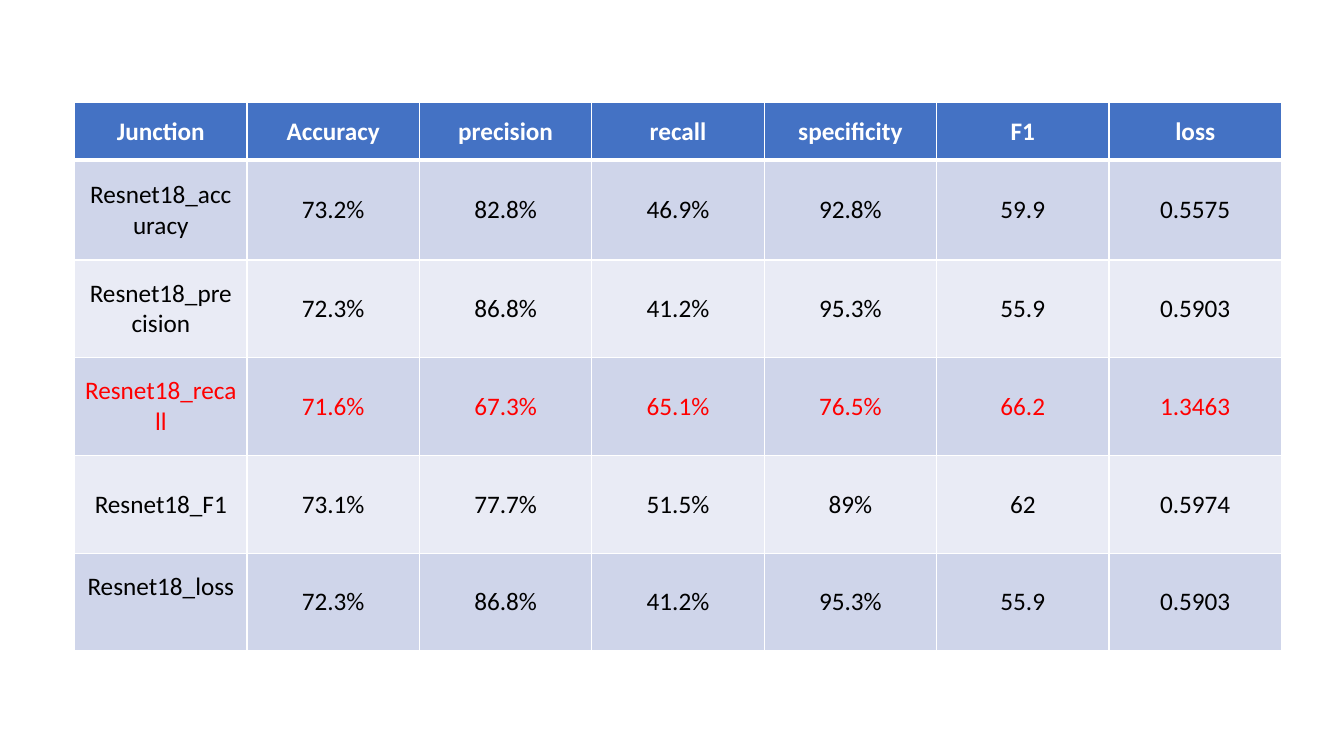
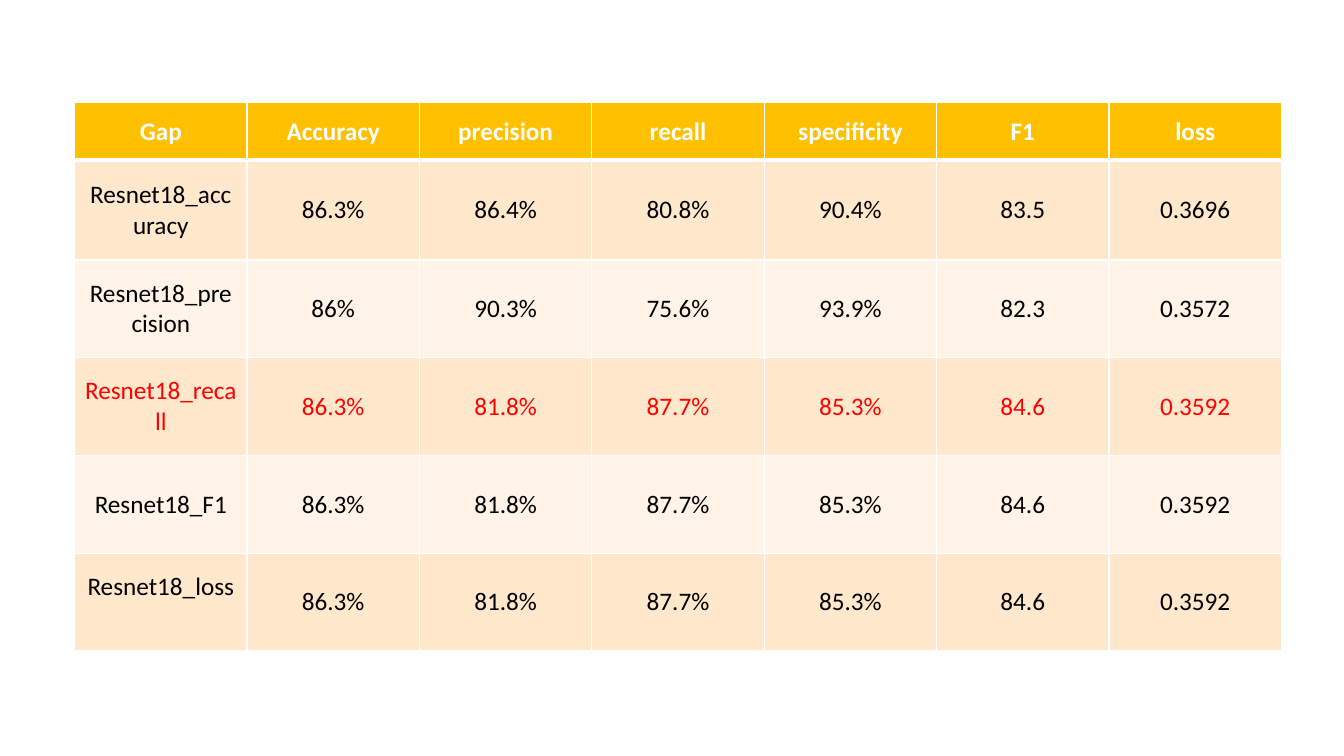
from dataclasses import dataclass

from lxml import etree
from pptx import Presentation
from pptx.dml.color import RGBColor
from pptx.enum import text
from pptx.oxml import ns
from pptx.util import Inches, Pt

METRICS = ["Accuracy", "precision", "recall", "specificity", "F1", "loss"]
MODELS = ["Resnet18_accuracy", "Resnet18_precision", "Resnet18_recall", "Resnet18_F1", "Resnet18_loss"]
HIGHLIGHTED_MODEL = "Resnet18_recall"
RAISED_MODEL = "Resnet18_loss"

RESULTS = [
    {
        "task": "Junction",
        "header": "4472C4",
        "bands": ("CFD5EA", "E9EBF5"),
        "scores": [
            ("73.2%", "82.8%", "46.9%", "92.8%", "59.9", "0.5575"),
            ("72.3%", "86.8%", "41.2%", "95.3%", "55.9", "0.5903"),
            ("71.6%", "67.3%", "65.1%", "76.5%", "66.2", "1.3463"),
            ("73.1%", "77.7%", "51.5%", "89%", "62", "0.5974"),
            ("72.3%", "86.8%", "41.2%", "95.3%", "55.9", "0.5903"),
        ],
    },
    {
        "task": "Gap",
        "header": "FFC000",
        "bands": ("FFE8CC", "FFF4E7"),
        "scores": [
            ("86.3%", "86.4%", "80.8%", "90.4%", "83.5", "0.3696"),
            ("86%", "90.3%", "75.6%", "93.9%", "82.3", "0.3572"),
            ("86.3%", "81.8%", "87.7%", "85.3%", "84.6", "0.3592"),
            ("86.3%", "81.8%", "87.7%", "85.3%", "84.6", "0.3592"),
            ("86.3%", "81.8%", "87.7%", "85.3%", "84.6", "0.3592"),
        ],
    },
]


@dataclass(frozen=True)
class Theme:
    font: str = "Calibri"
    size: int = 18
    header_text: str = "FFFFFF"
    body_text: str = "000000"
    highlight: str = "FF0000"
    rule: str = "FFFFFF"
    thin: int = 1
    thick: int = 3


THEME = Theme()
LEFT, TOP, WIDTH = Inches(0.74), Inches(1.02), Inches(11.97)
ROW_HEIGHTS = [Inches(h) for h in (0.57, 0.99, 0.97, 0.97, 0.97, 0.97)]
RAISED_MARGIN = Inches(0.35)


def add_borders(cell, top, bottom):
    props = cell._tc.get_or_add_tcPr()
    widths = {"lnL": THEME.thin, "lnR": THEME.thin, "lnT": top, "lnB": bottom}
    for side, width in widths.items():
        line = etree.SubElement(props, ns.qn(f"a:{side}"), w=str(Pt(width)))
        fill = etree.SubElement(line, ns.qn("a:solidFill"))
        etree.SubElement(fill, ns.qn("a:srgbClr"), val=THEME.rule)


def fill_cell(cell, wording, fill, color, bold):
    cell.fill.solid()
    cell.fill.fore_color.rgb = RGBColor.from_string(fill)
    cell.vertical_anchor = text.MSO_ANCHOR.MIDDLE
    cell.text_frame.text = wording
    paragraph = cell.text_frame.paragraphs[0]
    paragraph.alignment = text.PP_ALIGN.CENTER
    font = paragraph.runs[0].font
    font.name, font.size, font.bold = THEME.font, Pt(THEME.size), bold
    font.color.rgb = RGBColor.from_string(color)


def add_results(slide, result):
    rows = [(result["task"], *METRICS)]
    rows += [(model, *scores) for model, scores in zip(MODELS, result["scores"])]
    table = slide.shapes.add_table(
        len(rows), len(rows[0]), LEFT, TOP, WIDTH, sum(ROW_HEIGHTS)
    ).table
    for column in table.columns:
        column.width = WIDTH // len(rows[0])
    for r, row in enumerate(rows):
        table.rows[r].height = ROW_HEIGHTS[r]
        is_header = r == 0
        fill = result["header"] if is_header else result["bands"][(r - 1) % 2]
        color = THEME.header_text if is_header else THEME.body_text
        if row[0] == HIGHLIGHTED_MODEL:
            color = THEME.highlight
        top = THEME.thick if r == 1 else THEME.thin
        bottom = THEME.thick if is_header else THEME.thin
        for c, wording in enumerate(row):
            cell = table.cell(r, c)
            add_borders(cell, top, bottom)
            fill_cell(cell, wording, fill, color, is_header)
            if wording == RAISED_MODEL:
                cell.margin_bottom = RAISED_MARGIN


def main():
    deck = Presentation()
    deck.slide_width, deck.slide_height = Inches(13.33), Inches(7.5)
    for result in RESULTS:
        add_results(deck.slides.add_slide(deck.slide_layouts[6]), result)
    deck.save("out.pptx")


if __name__ == "__main__":
    main()
